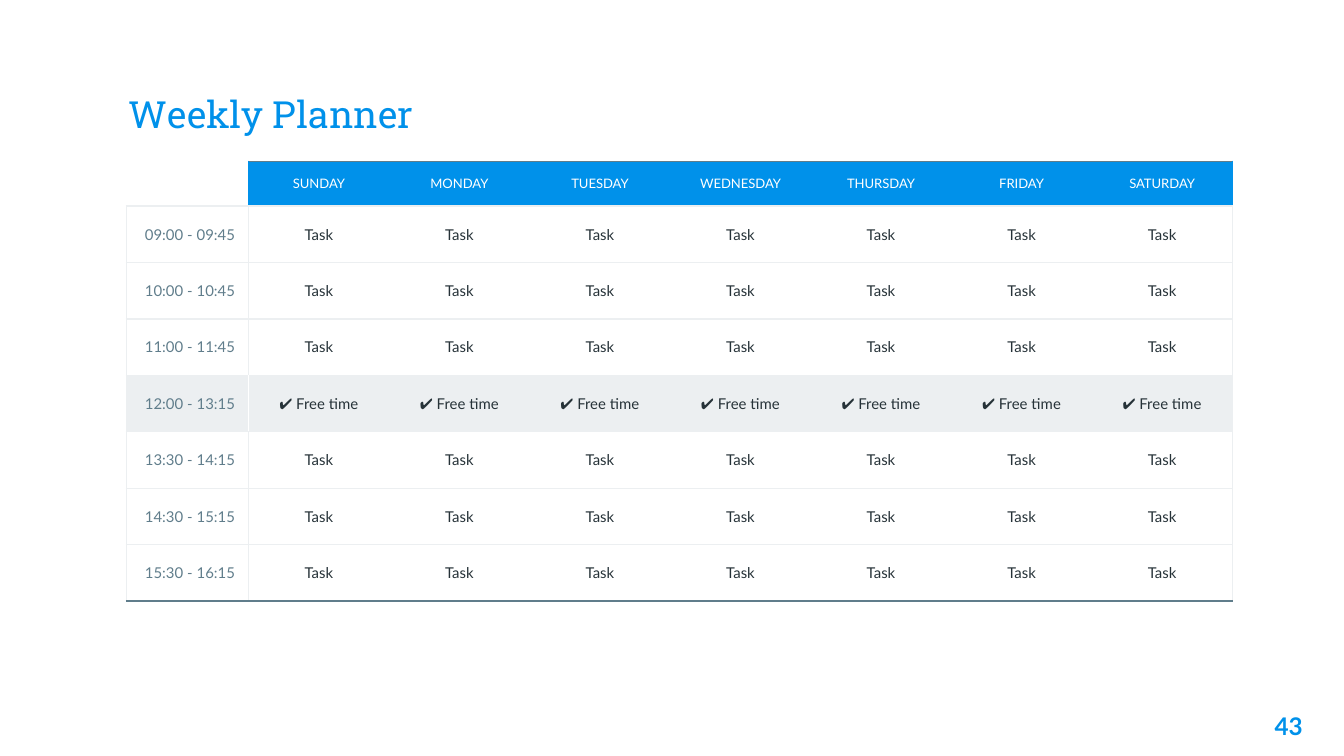
"""Build the weekly planner slide with a timetable of tasks."""
from lxml.etree import SubElement
from pptx import Presentation
from pptx.dml.color import RGBColor
from pptx.enum.text import MSO_ANCHOR, PP_ALIGN
from pptx.oxml.ns import qn
from pptx.util import Inches, Pt

BLUE, SLATE, MIST, INK, WHITE = "0091EA", "607D8B", "ECEFF1", "263238", "FFFFFF"

TITLE = "Weekly Planner"
PAGE_NUMBER = "43"
DAYS = ["SUNDAY", "MONDAY", "TUESDAY", "WEDNESDAY", "THURSDAY", "FRIDAY", "SATURDAY"]
SCHEDULE = [
    ("09:00 - 09:45", "Task"),
    ("10:00 - 10:45", "Task"),
    ("11:00 - 11:45", "Task"),
    ("12:00 - 13:15", "✔ Free time"),
    ("13:30 - 14:15", "Task"),
    ("14:30 - 15:15", "Task"),
    ("15:30 - 16:15", "Task"),
]
BREAK_ROW = 4

SLIDE_WIDTH = Inches(10)
SLIDE_HEIGHT = SLIDE_WIDTH * 9 // 16
LEFT, TOP = 0.94, 1.2
TIME_WIDTH, WEEK_WIDTH = 0.91, 7.32
HEADER_HEIGHT, ROW_HEIGHT = 0.26, 0.42
MARGIN = 0.1


def color(value):
    return RGBColor.from_string(value)


def write(frame, text, size=8, ink=INK, font="Lato", align=PP_ALIGN.CENTER, bold=False):
    paragraph = frame.paragraphs[0]
    paragraph.alignment = align
    if not text:
        paragraph._p.get_or_add_endParaRPr().set("sz", str(size * 100))
        return
    run = paragraph.add_run()
    run.text = text
    run.font.size = Pt(size)
    run.font.name = font
    run.font.bold = bold
    run.font.color.rgb = color(ink)


def set_margins(holder):
    holder.margin_left = holder.margin_right = Inches(MARGIN)
    holder.margin_top = holder.margin_bottom = Inches(MARGIN)


def add_label(slide, box, text, anchor=MSO_ANCHOR.TOP, **style):
    frame = slide.shapes.add_textbox(*map(Inches, box)).text_frame
    frame.word_wrap = True
    frame.vertical_anchor = anchor
    set_margins(frame)
    write(frame, text, **style)


def set_borders(cell, edges):
    properties = cell._tc.get_or_add_tcPr()
    for side in "LRTB":
        line = SubElement(properties, qn(f"a:ln{side}"), w=str(Pt(0.75)))
        if edges.get(side):
            fill = SubElement(line, qn("a:solidFill"))
            SubElement(fill, qn("a:srgbClr"), val=edges[side])
        else:
            SubElement(line, qn("a:noFill"))


def cell_edges(row, column):
    last_row, last_column = len(SCHEDULE), len(DAYS)
    if row == 0:
        return {
            "T": SLATE if column else None,
            "B": MIST,
            "L": BLUE if column == 1 else None,
            "R": BLUE if column in (0, last_column) else None,
        }
    divider = WHITE if row == BREAK_ROW else MIST
    return {
        "T": MIST,
        "B": SLATE if row == last_row else MIST,
        "L": {0: MIST, 1: divider}.get(column),
        "R": {0: divider, last_column: MIST}.get(column),
    }


def cell_style(row, column):
    if row == 0 and column:
        return {"size": 7, "ink": WHITE}
    if column == 0:
        return {"ink": SLATE, "align": PP_ALIGN.RIGHT}
    return {}


def cell_fill(row, column):
    if row == 0:
        return BLUE if column else None
    return MIST if row == BREAK_ROW else None


def add_planner(slide):
    rows = [["", *DAYS]] + [[time, *[entry] * len(DAYS)] for time, entry in SCHEDULE]
    widths = [TIME_WIDTH] + [WEEK_WIDTH / len(DAYS)] * len(DAYS)
    heights = [HEADER_HEIGHT] + [ROW_HEIGHT] * len(SCHEDULE)
    area = map(Inches, (LEFT, TOP, sum(widths), sum(heights)))
    planner = slide.shapes.add_table(len(rows), len(widths), *area).table
    planner.first_row = planner.horz_banding = False
    for column, width in zip(planner.columns, widths):
        column.width = Inches(width)
    for row, height in zip(planner.rows, heights):
        row.height = Inches(height)
    for r, entries in enumerate(rows):
        for c, entry in enumerate(entries):
            cell = planner.cell(r, c)
            cell.vertical_anchor = MSO_ANCHOR.MIDDLE
            set_margins(cell)
            set_borders(cell, cell_edges(r, c))
            fill = cell_fill(r, c)
            if fill:
                cell.fill.solid()
                cell.fill.fore_color.rgb = color(fill)
            else:
                cell.fill.background()
            write(cell.text_frame, entry, **cell_style(r, c))


def main():
    deck = Presentation()
    deck.slide_width, deck.slide_height = SLIDE_WIDTH, SLIDE_HEIGHT
    slide = deck.slides.add_slide(deck.slide_layouts[6])
    add_label(slide, (0.86, 0.34, 8.28, 0.77), TITLE, anchor=MSO_ANCHOR.BOTTOM,
              size=20, ink=BLUE, font="Roboto Slab", align=PP_ALIGN.LEFT)
    add_label(slide, (9.19, 5.19, 0.6, 0.43), PAGE_NUMBER,
              size=13, ink=BLUE, align=PP_ALIGN.RIGHT, bold=True)
    add_planner(slide)
    deck.save("out.pptx")


if __name__ == "__main__":
    main()
